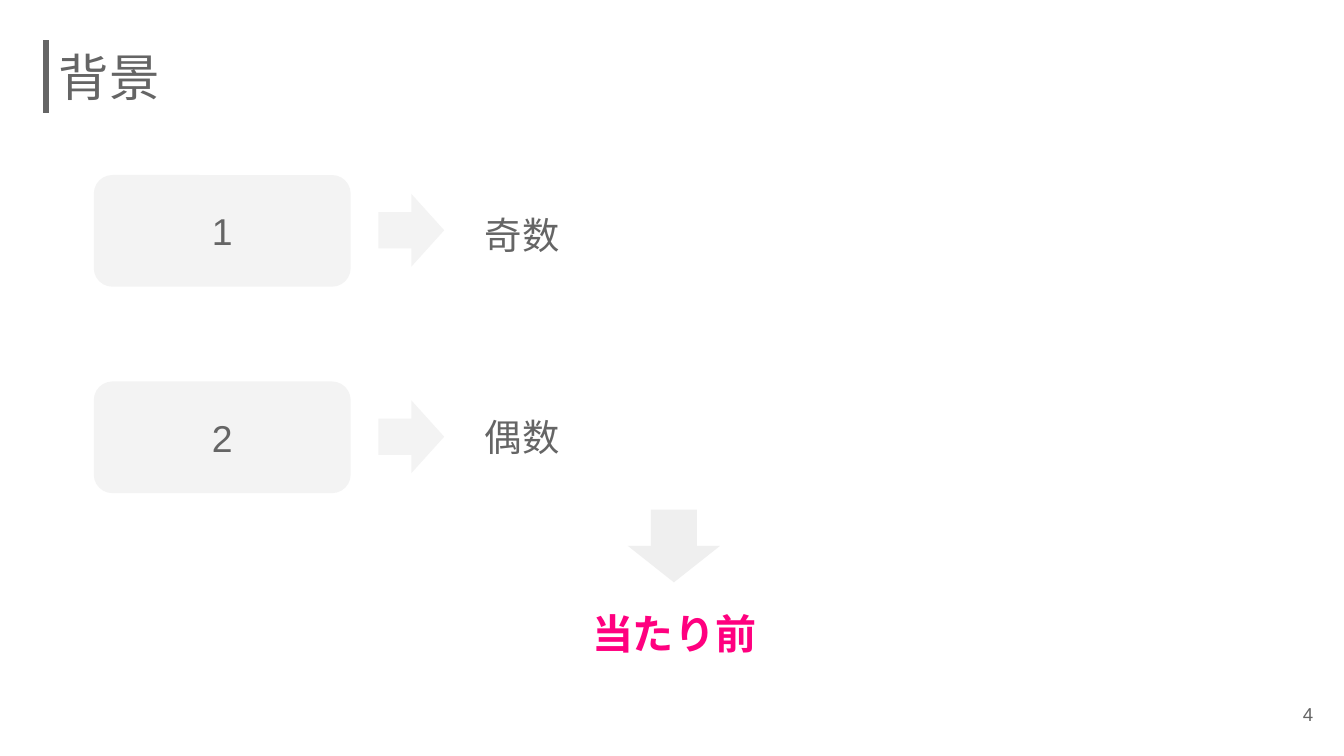
import pptx
import pptx.util
import pptx.dml.color
import pptx.enum.shapes
import pptx.enum.text
import pptx.oxml.ns
import lxml.etree

Pt = pptx.util.Pt
Kind = pptx.enum.shapes.MSO_SHAPE
Align = pptx.enum.text.PP_ALIGN

COLORS = {"text": "656565", "box": "F3F3F3", "down": "EFEFEF", "accent": "FF007F"}
PAD = 7.2


def color(name):
    return pptx.dml.color.RGBColor.from_string(COLORS[name])


def write(shape, text, size, align, tone="text", bold=False):
    frame = shape.text_frame
    frame.word_wrap = True
    frame.vertical_anchor = pptx.enum.text.MSO_ANCHOR.MIDDLE
    frame.margin_left = frame.margin_right = Pt(PAD)
    frame.margin_top = frame.margin_bottom = Pt(PAD)
    frame.text = text
    para = frame.paragraphs[0]
    para.alignment = align
    font = para.runs[0].font
    font.name = "Arial"
    font.size = Pt(size)
    font.bold = bold
    font.color.rgb = color(tone)


def add_text(slide, area, text, size, align=Align.LEFT, tone="text", bold=False):
    label = slide.shapes.add_textbox(*map(Pt, area))
    write(label, text, size, align, tone, bold)


def add_shape(slide, kind, area, fill):
    shape = slide.shapes.add_shape(kind, *map(Pt, area))
    shape.shadow.inherit = False
    shape.fill.solid()
    shape.fill.fore_color.rgb = color(fill)
    shape.line.fill.background()
    return shape


def add_bar(slide, left, top, end):
    bar = slide.shapes.add_connector(
        pptx.enum.shapes.MSO_CONNECTOR.STRAIGHT, Pt(left), Pt(top), Pt(left), Pt(end))
    bar.line.color.rgb = color("text")
    bar.line.width = Pt(3)
    props = bar._element.spPr
    lxml.etree.SubElement(props, pptx.oxml.ns.qn("a:effectLst"))


def add_row(slide, top, number, answer, shift):
    box = add_shape(slide, Kind.ROUNDED_RECTANGLE, (50.3, top, 137.6, 59.8), "box")
    write(box, number, 20, Align.CENTER)
    add_shape(slide, Kind.RIGHT_ARROW, (202.8, top + 10.1, 35.2, 39), "box")
    add_text(slide, (252.7, top + shift, 234, 63.4), answer, 20)


def main():
    deck = pptx.Presentation()
    deck.slide_width, deck.slide_height = Pt(720), Pt(405)
    slide = deck.slides.add_slide(deck.slide_layouts[6])

    # Heading and page number
    add_bar(slide, 24.5, 21.6, 60.6)
    add_text(slide, (24.5, 21.6, 671, 39), "背景", 27)
    add_text(slide, (667.4, 367.2, 43.2, 31), "4", 10, Align.RIGHT)

    # Numbers and their parity
    rows = [("1", "奇数", 0), ("2", "偶数", -2)]
    for index, (number, answer, shift) in enumerate(rows):
        add_row(slide, 93.8 + index * 110.6, number, answer, shift)

    # Conclusion
    add_shape(slide, Kind.DOWN_ARROW, (336.4, 273, 49.3, 39), "down")
    add_text(slide, (277.2, 319.7, 167.8, 39), "当たり前", 22, Align.CENTER, "accent", True)

    deck.save("out.pptx")


if __name__ == "__main__":
    main()
